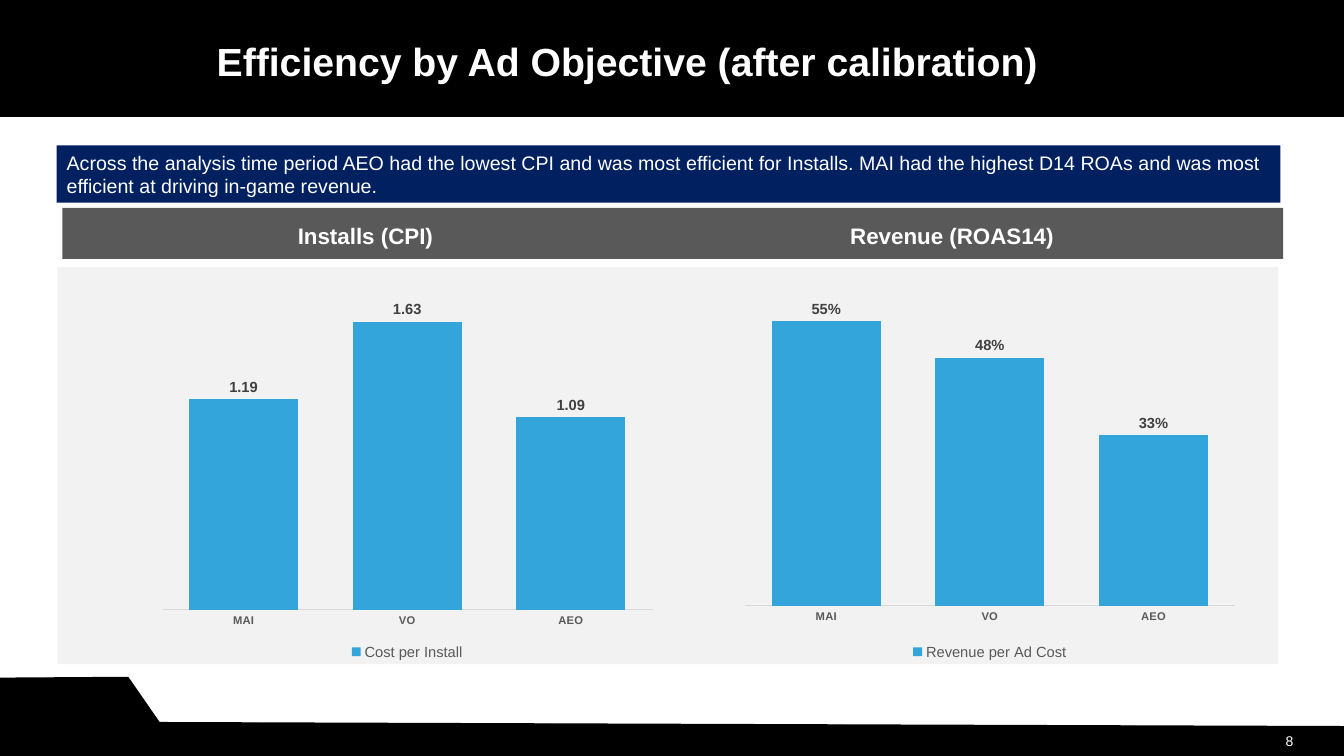
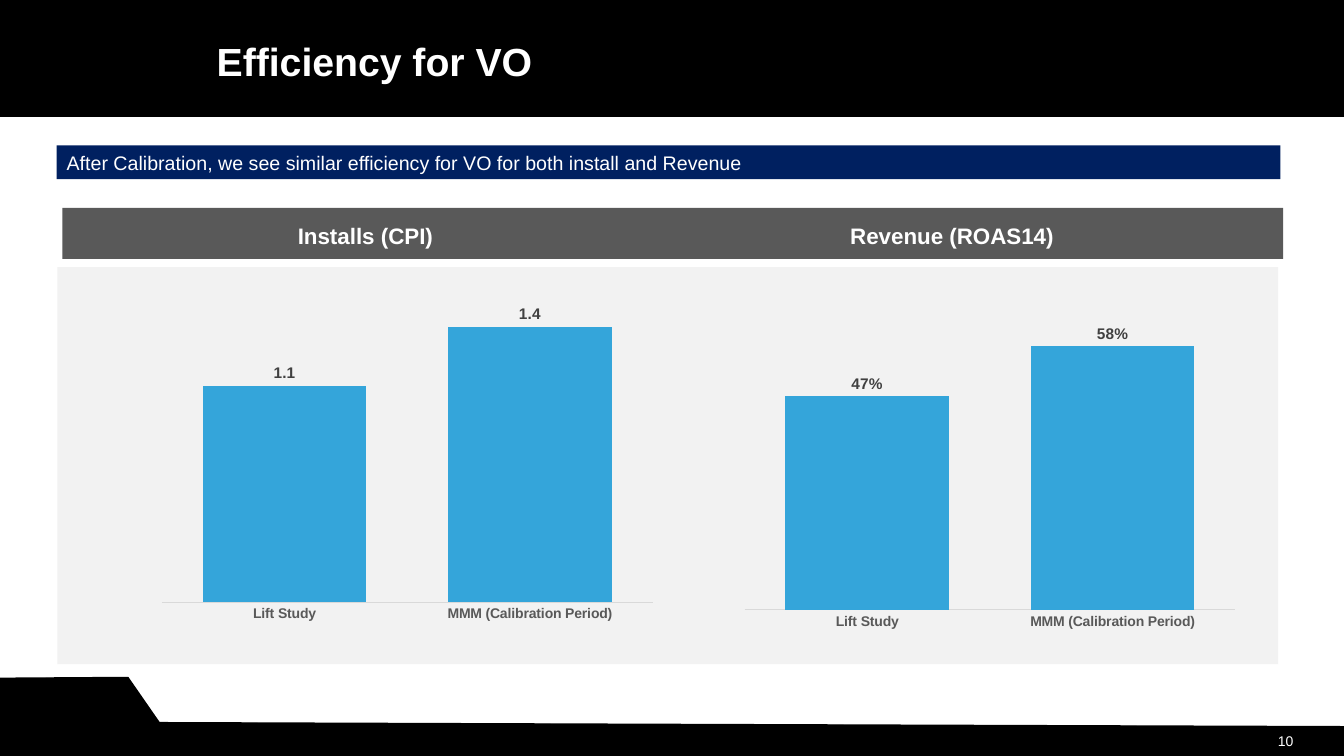
"""Build two ad efficiency slides, each comparing installs and revenue in column charts."""
from lxml.etree import SubElement
from pptx import Presentation
from pptx.chart.data import CategoryChartData
from pptx.dml.color import RGBColor
from pptx.enum.chart import XL_CHART_TYPE, XL_LABEL_POSITION, XL_LEGEND_POSITION, XL_TICK_MARK
from pptx.enum.shapes import MSO_SHAPE
from pptx.enum.text import MSO_ANCHOR, PP_ALIGN
from pptx.oxml.ns import qn
from pptx.util import Pt

FONT = "Arial"
BLACK, WHITE, NAVY, BLUE = "000000", "FFFFFF", "002060", "34A5DA"
BAR_GREY, PANEL_GREY, LABEL_GREY, AXIS_LINE = "595959", "F2F2F2", "404040", "D9D9D9"

FOOTER_OUTLINE = [(0, 484.5), (91.4, 483.9), (113.8, 516.2), (961, 519.1), (960, 540), (0, 540)]
TITLE_BOX = (147.6, 12.2, 663, 62)
HEADING_BAR = (44.6, 148.5, 872, 36.5)
CHART_PANEL = (41, 190.8, 872, 283.7)
NUMBER_BOX = (854.6, 521.3, 76.3, 15.8)
BANNER_LEFT, BANNER_TOP, BANNER_WIDTH = 40.5, 103.8, 874
HEADING_TOP, HEADING_WIDTH, HEADING_HEIGHT = 154.8, 370.8, 26.6
CHART_TOP, CHART_WIDTH, CHART_HEIGHT = 197.3, 373, 277.2
COLUMNS = [
    {"heading": "Installs (CPI)", "heading_left": 75.6, "chart_left": 104.4},
    {"heading": "Revenue (ROAS14)", "heading_left": 494.6, "chart_left": 520.6},
]

SLIDES = [
    {
        "title": "Efficiency by Ad Objective (after calibration)",
        "banner": "Across the analysis time period AEO had the lowest CPI and was most efficient "
                  "for Installs. MAI had the highest D14 ROAs and was most efficient at driving "
                  "in-game revenue.",
        "banner_height": 41,
        "number": "8",
        "categories": ["MAI", "VO", "AEO"],
        "legend": True,
        "axis_size": 8,
        "label_size": 10.5,
        "charts": [
            {"name": "Cost per Install", "values": [1.19, 1.63, 1.09], "format": "0.00",
             "maximum": 1.8, "plot": (0.03, 0.04, 0.94, 0.82)},
            {"name": "Revenue per Ad Cost", "values": [0.55, 0.48, 0.33], "format": "0%",
             "maximum": 0.6, "plot": (0.03, 0.05, 0.94, 0.8)},
        ],
    },
    {
        "title": "Efficiency for VO",
        "banner": "After Calibration, we see similar efficiency for VO for both install and Revenue",
        "banner_height": 24.2,
        "number": "10",
        "categories": ["Lift Study", "MMM (Calibration Period)"],
        "legend": False,
        "axis_size": 10,
        "label_size": 11,
        "charts": [
            {"name": "Series 1", "values": [1.1, 1.4], "format": "0.0",
             "maximum": 1.6, "plot": (0.03, 0.03, 0.94, 0.81)},
            {"name": "Series 1", "values": [0.47, 0.58], "format": "0%",
             "maximum": 0.7, "plot": (0.03, 0.04, 0.94, 0.82)},
        ],
    },
]


def color(value):
    return RGBColor.from_string(value)


def points(*lengths):
    return [Pt(length) for length in lengths]


def style_font(font, size, value, bold=False):
    font.name = FONT
    font.size = Pt(size)
    font.bold = bold
    font.color.rgb = color(value)


def paint(shape, fill, line=None):
    shape.shadow.inherit = False
    shape.fill.solid()
    shape.fill.fore_color.rgb = color(fill)
    if line:
        shape.line.color.rgb = color(line)
        shape.line.width = Pt(1)
    else:
        shape.line.fill.background()
    return shape


def add_rectangle(slide, box, fill, line=None):
    shape = slide.shapes.add_shape(MSO_SHAPE.RECTANGLE, *points(*box))
    return paint(shape, fill, line)


def write(shape, text, size, bold=False, align=PP_ALIGN.LEFT, anchor=MSO_ANCHOR.MIDDLE):
    frame = shape.text_frame
    frame.text = text
    frame.word_wrap = True
    frame.vertical_anchor = anchor
    paragraph = frame.paragraphs[0]
    paragraph.alignment = align
    paragraph.space_before = Pt(0)
    style_font(paragraph.runs[0].font, size, WHITE, bold)


def add_master_bands(slide, master):
    outline = [tuple(points(*point)) for point in FOOTER_OUTLINE]
    builder = slide.shapes.build_freeform(*outline[0])
    builder.add_line_segments(outline[1:], close=True)
    footer = paint(builder.convert_to_shape(), BLACK, BLACK)
    header = add_rectangle(slide, (0, 0, 960, 82.8), BLACK, BLACK)
    first_placeholder = master.shapes[0].element
    for band in (footer, header):
        first_placeholder.addprevious(band.element)


def set_plot_area(chart, plot):
    plot_area = chart.element.find(".//" + qn("c:plotArea"))
    for old_layout in plot_area.findall(qn("c:layout")):
        plot_area.remove(old_layout)
    layout = SubElement(plot_area, qn("c:layout"))
    plot_area.insert(0, layout)
    manual = SubElement(layout, qn("c:manualLayout"))
    settings = [("layoutTarget", "inner"), ("xMode", "edge"), ("yMode", "edge")]
    settings += zip("xywh", plot)
    for tag, value in settings:
        SubElement(manual, qn("c:" + tag)).set("val", str(value))


def add_column_chart(slide, left, content, details):
    data = CategoryChartData(number_format=details["format"])
    data.categories = content["categories"]
    data.add_series(details["name"], details["values"])
    box = points(left, CHART_TOP, CHART_WIDTH, CHART_HEIGHT)
    chart = slide.shapes.add_chart(XL_CHART_TYPE.COLUMN_CLUSTERED, *box, data).chart
    style_font(chart.font, 10, BLACK)
    chart.has_title = False
    chart.has_legend = content["legend"]
    if content["legend"]:
        chart.legend.position = XL_LEGEND_POSITION.BOTTOM
        chart.legend.include_in_layout = False
        style_font(chart.legend.font, 10.5, BAR_GREY)

    category_axis = chart.category_axis
    category_axis.major_tick_mark = XL_TICK_MARK.NONE
    category_axis.format.line.color.rgb = color(AXIS_LINE)
    category_axis.format.line.width = Pt(0.75)
    style_font(category_axis.tick_labels.font, content["axis_size"], BAR_GREY, True)
    value_axis = chart.value_axis
    value_axis.visible = False
    value_axis.has_major_gridlines = False
    value_axis.minimum_scale = 0
    value_axis.maximum_scale = details["maximum"]

    plot = chart.plots[0]
    plot.gap_width = 50
    plot.vary_by_categories = False
    series = plot.series[0]
    series.format.fill.solid()
    series.format.fill.fore_color.rgb = color(BLUE)
    labels = series.data_labels
    labels.show_value = True
    labels.position = XL_LABEL_POSITION.OUTSIDE_END
    labels.number_format = details["format"]
    labels.number_format_is_linked = False
    style_font(labels.font, content["label_size"], LABEL_GREY, True)
    set_plot_area(chart, details["plot"])


def add_content(slide, content):
    title = slide.shapes.title
    title.left, title.top, title.width, title.height = points(*TITLE_BOX)
    write(title, content["title"], 28, bold=True)

    add_rectangle(slide, HEADING_BAR, BAR_GREY)
    add_rectangle(slide, CHART_PANEL, PANEL_GREY)
    for column, details in zip(COLUMNS, content["charts"]):
        heading = slide.shapes.add_textbox(
            *points(column["heading_left"], HEADING_TOP, HEADING_WIDTH, HEADING_HEIGHT))
        write(heading, column["heading"], 16, True, PP_ALIGN.CENTER, MSO_ANCHOR.TOP)
        add_column_chart(slide, column["chart_left"], content, details)

    banner_box = (BANNER_LEFT, BANNER_TOP, BANNER_WIDTH, content["banner_height"])
    write(add_rectangle(slide, banner_box, NAVY), content["banner"], 14)
    number = slide.shapes.add_textbox(*points(*NUMBER_BOX))
    write(number, content["number"], 10, align=PP_ALIGN.RIGHT)


def main():
    presentation = Presentation()
    presentation.slide_width, presentation.slide_height = points(960, 540)
    layout = presentation.slide_layouts[5]
    slides = [presentation.slides.add_slide(layout) for _ in SLIDES]
    add_master_bands(slides[0], presentation.slide_master)
    for slide, content in zip(slides, SLIDES):
        add_content(slide, content)
    presentation.save("out.pptx")


if __name__ == "__main__":
    main()
